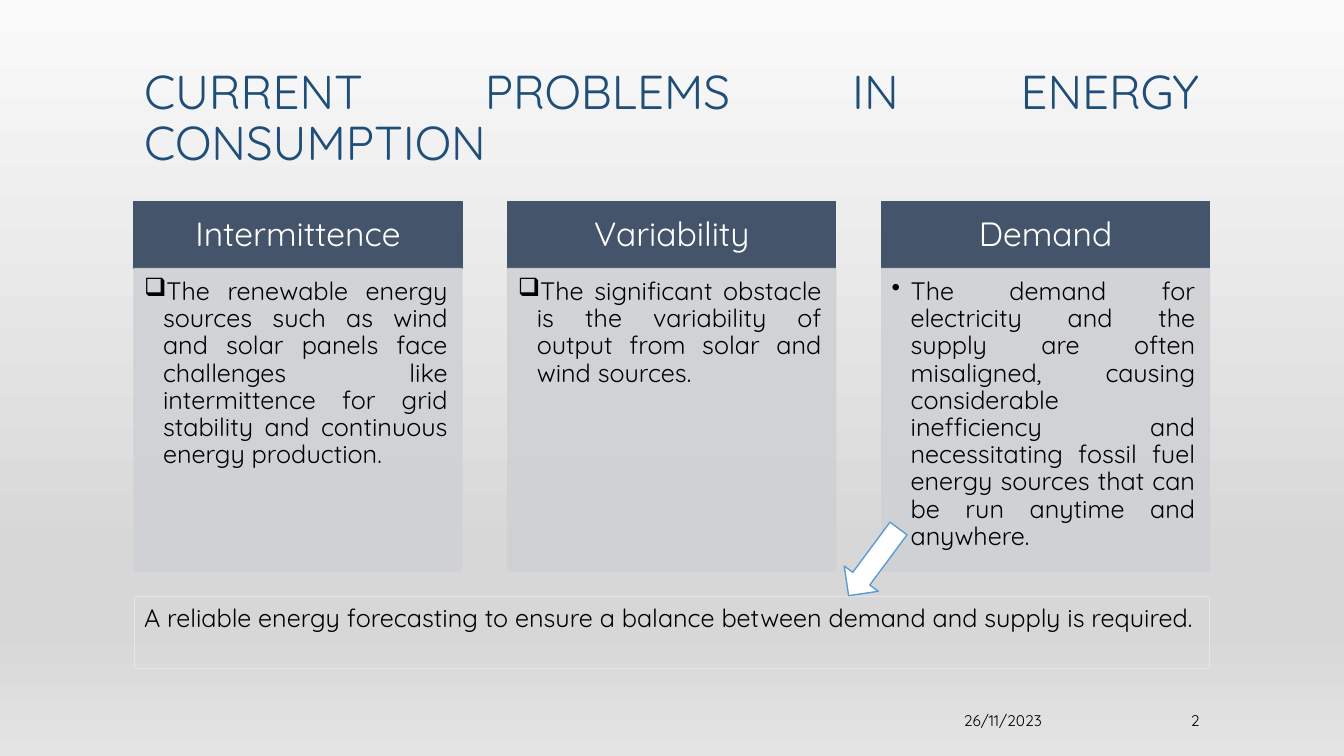
from dataclasses import dataclass

import lxml.etree
import pptx
import pptx.dml.color
import pptx.enum.shapes
import pptx.enum.text
import pptx.oxml.ns
import pptx.util

Cm = pptx.util.Cm
Pt = pptx.util.Pt
qn = pptx.oxml.ns.qn
Align = pptx.enum.text.PP_ALIGN
Anchor = pptx.enum.text.MSO_ANCHOR
Shape = pptx.enum.shapes.MSO_SHAPE


@dataclass(frozen=True)
class Theme:
    font: str = "Quicksand"
    title_color: str = "1F4E79"
    header_fill: str = "44546A"
    body_fill: str = "CFD1D4"
    text: str = "000000"
    white: str = "FFFFFF"
    box_line: str = "E7E6E6"
    arrow_line: str = "5B9BD5"
    background: tuple = ((0, "FAFAFA"), (74, "D7D7D7"), (83, "D7D7D7"), (100, "E4E4E4"))
    title_size: int = 34
    header_size: int = 24
    body_size: int = 18
    footer_size: int = 11


THEME = Theme()
PANEL_OPACITY = 90
COLUMNS = [
    ("Intermittence", "❑", "The renewable energy sources such as wind and solar panels face "
     "challenges like intermittence for grid stability and continuous energy production."),
    ("Variability", "❑", "The significant obstacle is the variability of output from solar "
     "and wind sources."),
    ("Demand", "•", "The demand for electricity and the supply are often misaligned, causing "
     "considerable inefficiency and necessitating fossil fuel energy sources that can be run "
     "anytime and anywhere."),
]


def rgb(value):
    return pptx.dml.color.RGBColor.from_string(value)


def add_child(parent, tag, **attributes):
    return lxml.etree.SubElement(parent, qn(tag), attributes)


def set_background(slide):
    fill = slide.background.fill
    fill.gradient()
    fill.gradient_angle = 270
    stops = slide.element.find(".//" + qn("a:gsLst"))
    for stop in list(stops):
        stops.remove(stop)
    for position, color in THEME.background:
        stop = add_child(stops, "a:gs", pos=str(position * 1000))
        add_child(stop, "a:srgbClr", val=color)


def write(shape, text, size, color=THEME.text, align=Align.LEFT, anchor=Anchor.TOP,
          margins=(0.25, 0.13, 0.25, 0.13), line_spacing=1.0):
    """Fill the shape with one paragraph and return it; margins are left, top, right, bottom."""
    frame = shape.text_frame
    frame.word_wrap = True
    frame.vertical_anchor = anchor
    (frame.margin_left, frame.margin_top,
     frame.margin_right, frame.margin_bottom) = map(Cm, margins)
    frame.text = text
    paragraph = frame.paragraphs[0]
    paragraph.alignment = align
    paragraph.line_spacing = line_spacing
    font = paragraph.runs[0].font
    font.name = THEME.font
    font.size = Pt(size)
    font.color.rgb = rgb(color)
    return paragraph


def add_text(slide, box, text, size, **style):
    return write(slide.shapes.add_textbox(*map(Cm, box)), text, size, **style)


def add_block(slide, kind, box, fill, line, line_width=1):
    shape = slide.shapes.add_shape(kind, *map(Cm, box))
    shape.shadow.inherit = False
    if fill:
        shape.fill.solid()
        shape.fill.fore_color.rgb = rgb(fill)
    else:
        shape.fill.background()
    shape.line.color.rgb = rgb(line)
    shape.line.width = Pt(line_width)
    return shape


def set_bullet(paragraph, character, indent):
    properties = paragraph._p.get_or_add_pPr()
    properties.set("marL", str(Cm(indent)))
    properties.set("indent", str(-Cm(indent)))
    add_child(properties, "a:buChar", char=character)


def add_column(slide, box, heading, bullet, text):
    left, top, width, height = box
    header_height = 1.69
    header = add_block(slide, Shape.RECTANGLE, (left, top, width, header_height),
                       THEME.header_fill, THEME.header_fill)
    write(header, heading, THEME.header_size, THEME.white, Align.CENTER, Anchor.MIDDLE,
          (0.48, 0.28, 0.48, 0.28), 0.9)

    body = add_block(slide, Shape.RECTANGLE,
                     (left, top + header_height, width, height - header_height),
                     THEME.body_fill, THEME.body_fill)
    for color in body._element.spPr.iter(qn("a:srgbClr")):
        add_child(color, "a:alpha", val=str(PANEL_OPACITY * 1000))
    paragraph = write(body, text, THEME.body_size, align=Align.JUSTIFY,
                      margins=(0.25, 0.25, 0.36, 0.41), line_spacing=0.9)
    set_bullet(paragraph, bullet, 0.48)


def add_columns(slide, box):
    left, top, width, height = box
    column_width = 8.26
    pitch = (width - column_width) / (len(COLUMNS) - 1)
    for index, column in enumerate(COLUMNS):
        add_column(slide, (left + index * pitch, top, column_width, height), *column)


def add_conclusion(slide, box):
    left, top, width, height = box
    frame = add_block(slide, Shape.RECTANGLE, box, None, THEME.box_line, 0.75)
    write(frame, "A reliable energy forecasting to ensure a balance between demand and supply "
          "is required.", THEME.body_size)
    arrow = add_block(slide, Shape.DOWN_ARROW, (left + 18.1, top - 1.93, 1.07, 2.11),
                      THEME.white, THEME.arrow_line)
    arrow.rotation = 36.6


def add_footer(slide, box):
    left, top, width, height = box
    number_width, date_width, gap = 3.18, 3.89, 0.79
    number_left = left + width - number_width
    date_left = number_left - gap - date_width
    for text, text_left, text_width in (("26/11/2023", date_left, date_width),
                                        ("2", number_left, number_width)):
        add_text(slide, (text_left, top, text_width, height), text, THEME.footer_size,
                 align=Align.RIGHT, anchor=Anchor.MIDDLE)


def build_problems_slide(presentation):
    slide = presentation.slides.add_slide(presentation.slide_layouts[6])
    left, width = 3.38, 27.1
    set_background(slide)
    add_text(slide, (left, 0.76, width, 3.68), "CURRENT PROBLEMS IN ENERGY CONSUMPTION",
             THEME.title_size, color=THEME.title_color, align=Align.JUSTIFY,
             anchor=Anchor.BOTTOM, line_spacing=0.9)
    add_columns(slide, (left, 5.08, width, 9.31))
    add_conclusion(slide, (left, 15.04, width, 1.8))
    add_footer(slide, (left, 17.91, width, 0.51))


def main():
    presentation = pptx.Presentation()
    presentation.slide_width = Cm(33.87)
    presentation.slide_height = Cm(19.05)
    build_problems_slide(presentation)
    presentation.save("out.pptx")


if __name__ == "__main__":
    main()
